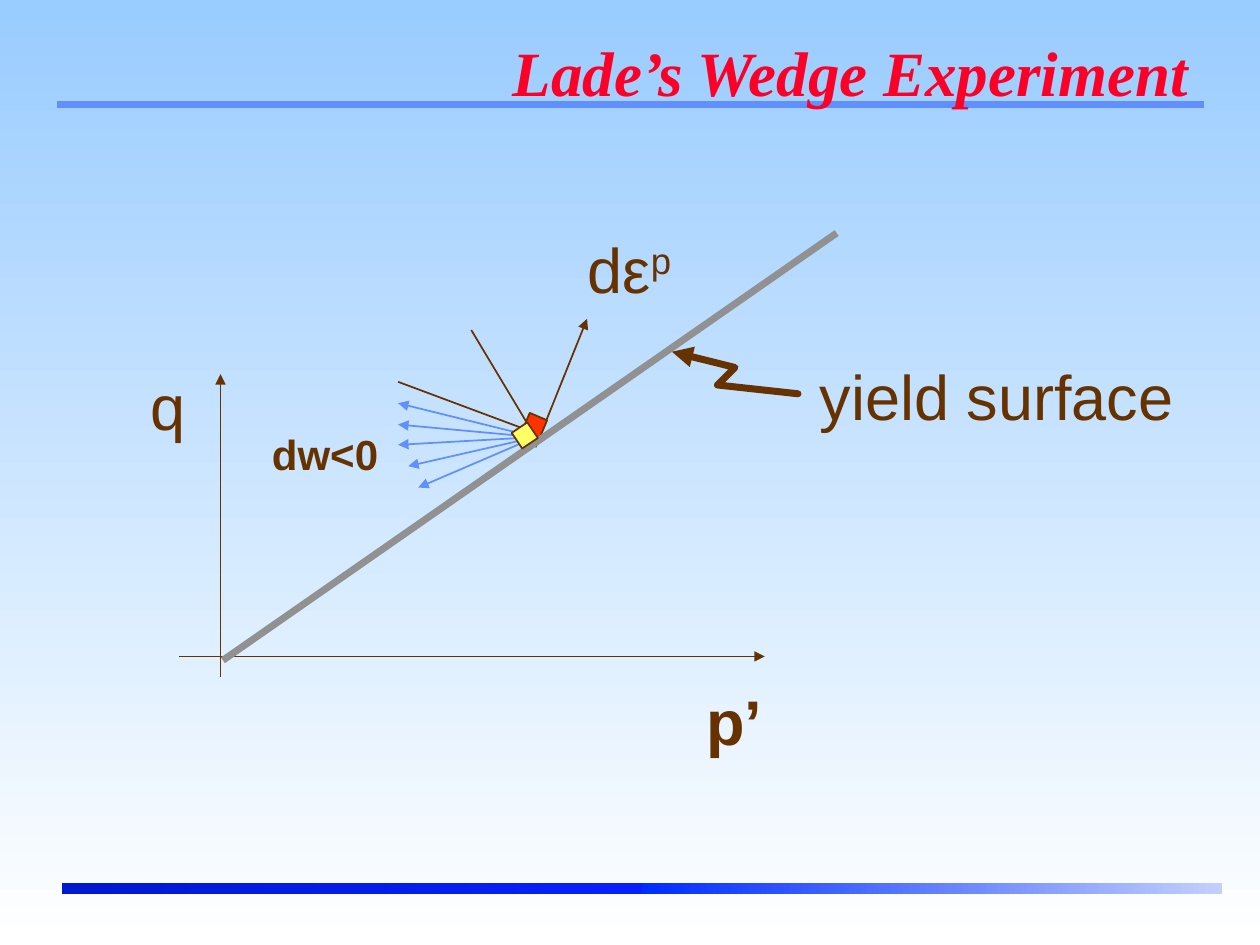
import pptx
import pptx.util
import pptx.dml.color
import pptx.enum.shapes
import pptx.enum.text
import pptx.oxml.ns
from lxml import etree

Pt = pptx.util.Pt
qn = pptx.oxml.ns.qn

COLORS = {
    "sky": "99CCFF", "white": "FFFFFF", "rule": "618FFD", "title": "FC0128",
    "brown": "663300", "gray": "919191", "red": "FF3300", "yellow": "FFFF66",
    "navy": "0018D1", "blue": "0820FF", "bright": "002CFF", "pale": "C3D1FC",
}

# Content; all lengths in points
TITLE = "Lade’s Wedge Experiment"
TITLE_BOX = (283, 15.8, 406, 50.4)
HEADER_RULE = ((32.4, 59.8), (688.3, 59.8), "rule", 4, False)
FOOTER_LEFT, FOOTER_TOP, FOOTER_WIDTH, FOOTER_HEIGHT = 35.4, 504.7, 331.6, 6
FOOTER_GRADIENTS = [("navy", "blue"), ("bright", "pale")]

# start, end, colour, width, arrowhead at the end
AXES = [
    ((126, 386.6), (126, 213.8), "brown", 1, True),
    ((102.2, 375.1), (437, 375.1), "brown", 1, True),
]
WEDGE_LINES = [
    ((306, 255.6), (335.5, 182.2), "brown", 1, True),
    ((306, 249.8), (269.3, 188.6), "brown", 1, False),
    ((310.3, 249.1), (227.5, 218.2), "brown", 1, False),
]
YIELD_LINE = ((127.4, 377.3), (478.1, 133.2), "gray", 4, False)
FAN_ORIGIN = (306, 249.8)
FAN_TIPS = [(227.5, 230.4), (227.5, 242.6), (227.5, 254.2), (233.3, 266.4), (239, 278.6)]
POINTER = [(455.8, 225.4), (409.7, 220.3), (419.8, 200.9), (383.8, 200.9)]
POINTER[2:] = [(419.8, 210.2), (383.8, 200.9)]

SQUARE = 10.8
RED_SQUARE = (300.2, 237.6, 293, "red")
YELLOW_SQUARE = (294.5, 243.4, 326, "yellow")

# box, (text, superscript), size, bold, wrap
LABELS = [
    ((396.7, 386.6, 46.1, 50.4), ("p’", ""), 36, True, False),
    ((78.5, 206.6, 34.6, 50.4), ("q", ""), 36, False, False),
    ((327.6, 128.2, 64.1, 50.4), ("dε", "p"), 36, False, True),
    ((460.8, 200.9, 217.4, 50.4), ("yield surface", ""), 36, False, True),
    ((148.3, 241.2, 74.9, 36), ("dw<0", ""), 24, True, False),
]


def rgb(name):
    return pptx.dml.color.RGBColor.from_string(COLORS[name])


def points(values):
    return [Pt(value) for value in values]


def set_gradient(fill, names, angle):
    fill.gradient()
    fill.gradient_angle = angle
    for stop, name in zip(fill.gradient_stops, names):
        stop.color.rgb = rgb(name)


def set_line(shape, color, width, arrow=False):
    shape.line.color.rgb = rgb(color)
    shape.line.width = Pt(width)
    if arrow:
        outline = shape.line._get_or_add_ln()
        etree.SubElement(outline, qn("a:tailEnd"), type="triangle")


def add_line(shapes, start, end, color, width, arrow):
    connector = shapes.add_connector(
        pptx.enum.shapes.MSO_CONNECTOR.STRAIGHT, *points(start + end))
    set_line(connector, color, width, arrow)
    etree.SubElement(connector._element.spPr, qn("a:effectLst"))


def add_rectangle(shapes, box):
    shape = shapes.add_shape(pptx.enum.shapes.MSO_SHAPE.RECTANGLE, *points(box))
    shape.shadow.inherit = False
    return shape


def add_square(shapes, left, top, rotation, color):
    square = add_rectangle(shapes, (left, top, SQUARE, SQUARE))
    square.rotation = rotation
    square.fill.solid()
    square.fill.fore_color.rgb = rgb(color)
    set_line(square, "brown", 1)


def format_text(frame, font_name, size, color, bold, italic, wrap):
    frame.word_wrap = wrap
    frame.auto_size = pptx.enum.text.MSO_AUTO_SIZE.NONE
    frame.vertical_anchor = pptx.enum.text.MSO_ANCHOR.TOP
    paragraph = frame.paragraphs[0]
    paragraph.alignment = pptx.enum.text.PP_ALIGN.CENTER
    for run in paragraph.runs:
        font = run.font
        font.name, font.size = font_name, Pt(size)
        font.bold, font.italic = bold, italic
        font.color.rgb = rgb(color)


def add_label(shapes, box, texts, size, bold, wrap):
    frame = shapes.add_textbox(*points(box)).text_frame
    text, superscript = texts
    paragraph = frame.paragraphs[0]
    paragraph.text = text
    if superscript:
        run = paragraph.add_run()
        run.text = superscript
        run._r.get_or_add_rPr().set("baseline", "30000")
    format_text(frame, "Arial", size, "brown", bold, False, wrap)


def add_pointer(shapes):
    builder = shapes.build_freeform(*POINTER[0], scale=Pt(1))
    builder.add_line_segments(POINTER[1:], close=False)
    pointer = builder.convert_to_shape()
    pointer.shadow.inherit = False
    pointer.fill.background()
    set_line(pointer, "brown", 4)
    outline = pointer.line._get_or_add_ln()
    outline.set("cap", "rnd")
    etree.SubElement(outline, qn("a:round"))
    etree.SubElement(outline, qn("a:tailEnd"), type="triangle")


def main():
    presentation = pptx.Presentation()
    presentation.slide_width, presentation.slide_height = Pt(720), Pt(540)
    slide = presentation.slides.add_slide(presentation.slide_layouts[5])
    shapes = slide.shapes

    # Background, header rule and footer bar
    set_gradient(slide.background.fill, ("sky", "white"), 270)
    add_line(shapes, *HEADER_RULE)
    for index, names in enumerate(FOOTER_GRADIENTS):
        left = FOOTER_LEFT + index * FOOTER_WIDTH
        bar = add_rectangle(shapes, (left, FOOTER_TOP, FOOTER_WIDTH, FOOTER_HEIGHT))
        set_gradient(bar.fill, names, 0)
        bar.line.fill.background()

    # Axes, wedge and yield surface
    for line in AXES + WEDGE_LINES:
        add_line(shapes, *line)
    add_square(shapes, *RED_SQUARE)
    add_line(shapes, *YIELD_LINE)
    add_pointer(shapes)

    # Fan of stress increments
    for tip in FAN_TIPS:
        add_line(shapes, FAN_ORIGIN, tip, "rule", 1, True)
    add_square(shapes, *YELLOW_SQUARE)

    # Labels
    for label in LABELS:
        add_label(shapes, *label)

    # Title, brought in front of the header rule
    title = shapes.title
    title.left, title.top, title.width, title.height = points(TITLE_BOX)
    title.text_frame.text = TITLE
    format_text(title.text_frame, "Times New Roman", 36, "title", True, True, False)
    shapes._spTree.append(title._element)

    presentation.save("out.pptx")


if __name__ == "__main__":
    main()
